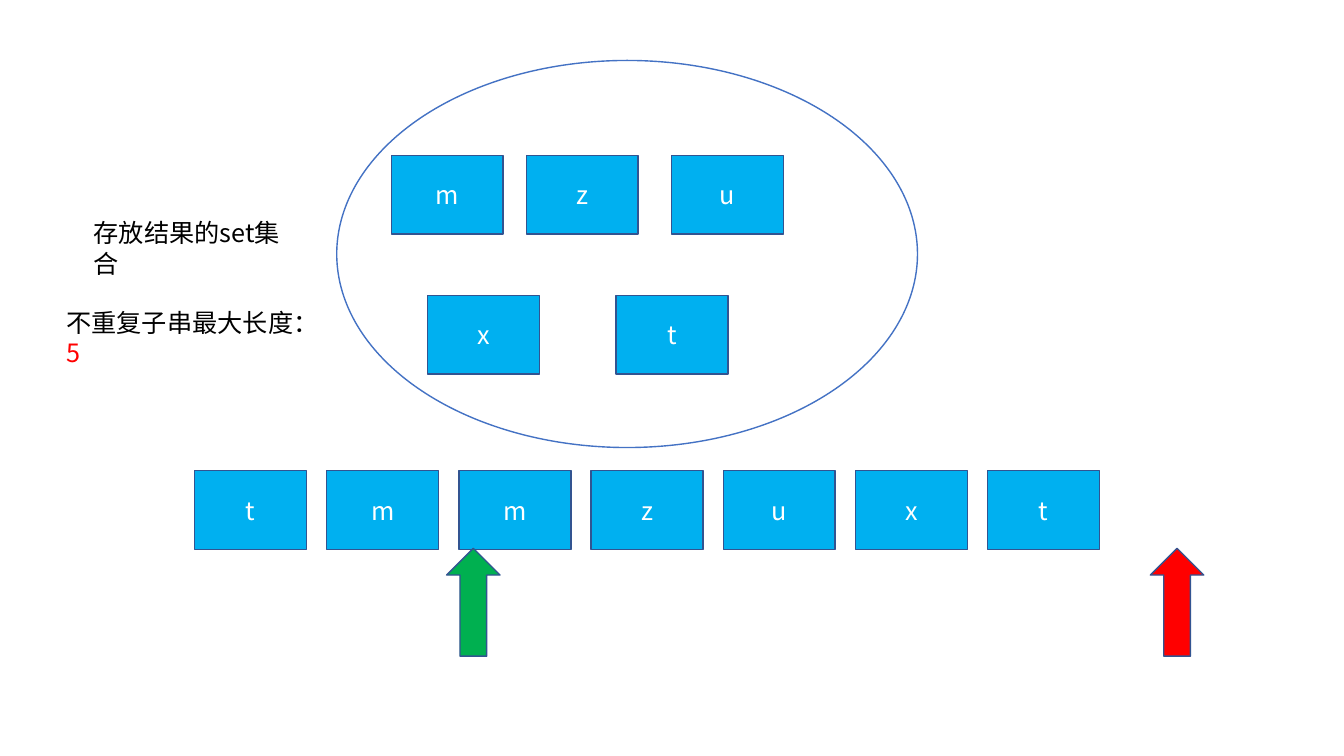
from dataclasses import dataclass

from lxml import etree
from pptx import Presentation
from pptx import util as u
from pptx.dml.color import RGBColor
from pptx.enum import shapes, text
from pptx.oxml import ns


@dataclass(frozen=True)
class Theme:
    font: str = "Noto Sans CJK SC"
    size: int = 18
    ink: str = "000000"
    paper: str = "FFFFFF"
    tile: str = "00B0F0"
    edge: str = "325491"
    ring: str = "4472C4"
    start: str = "00B050"
    accent: str = "FF0000"


class Board:
    cell = u.Inches(0.1)
    tile_size = (11.1, 7.8)
    pointer_size = (5.3, 10.7)

    def __init__(self, page, theme):
        self.page = page
        self.theme = theme

    def place(self, *columns_and_rows):
        return [round(value * self.cell) for value in columns_and_rows]

    def shape(self, kind, area, fill, line):
        shape = self.page.shapes.add_shape(kind, *self.place(*area))
        shape.shadow.inherit = False
        shape.fill.solid()
        shape.fill.fore_color.rgb = RGBColor.from_string(fill)
        shape.line.color.rgb = RGBColor.from_string(line)
        shape.line.width = u.Pt(1)
        return shape

    def set_words(self, para, words, color):
        para.font.name = self.theme.font
        para.font.size = u.Pt(self.theme.size)
        para.font.color.rgb = RGBColor.from_string(color)
        defaults = para._p.pPr.find(ns.qn("a:defRPr"))
        etree.SubElement(defaults, ns.qn("a:ea"), typeface=self.theme.font)
        para.add_run().text = words

    def tile(self, letter, column, row):
        tile = self.shape(shapes.MSO_SHAPE.RECTANGLE, (column, row, *self.tile_size),
                          self.theme.tile, self.theme.edge)
        tile.text_frame.vertical_anchor = text.MSO_ANCHOR.MIDDLE
        para = tile.text_frame.paragraphs[0]
        para.alignment = text.PP_ALIGN.CENTER
        self.set_words(para, letter, self.theme.paper)

    def ring(self, *area):
        self.shape(shapes.MSO_SHAPE.OVAL, area, self.theme.paper, self.theme.ring)

    def pointer(self, column, row, fill):
        self.shape(shapes.MSO_SHAPE.UP_ARROW, (column, row, *self.pointer_size),
                   fill, self.theme.edge)

    def label(self, words, column, row, width, result=""):
        box = self.page.shapes.add_textbox(*self.place(column, row, width, 4))
        box.text_frame.word_wrap = True
        para = box.text_frame.paragraphs[0]
        self.set_words(para, words, self.theme.ink)
        if result:
            span = para.add_run()
            span.text = result
            span.font.color.rgb = RGBColor.from_string(self.theme.accent)


deck = Presentation()
deck.slide_width, deck.slide_height = u.Inches(13.33), u.Inches(7.5)
theme = Theme()
board = Board(deck.slides.add_slide(deck.slide_layouts[6]), theme)

string_left, string_top, string_step = 19.3, 46.7, 13.11
for index, letter in enumerate("tmmzuxt"):
    board.tile(letter, string_left + index * string_step, string_top)

board.ring(33.4, 6, 57.6, 38.4)
set_rows = {15.4: {"m": 38.8, "z": 52.2, "u": 66.6}, 29.3: {"x": 42.4, "t": 61.1}}
for row, members in set_rows.items():
    for letter, column in members.items():
        board.tile(letter, column, row)

board.label("存放结果的set集合", 8.3, 21.1, 22.8)
board.label("不重复子串最大长度：", 5.6, 30, 27.5, result="5")

for column, fill in ((44.3, theme.start), (114.1, theme.accent)):
    board.pointer(column, 54.4, fill)

deck.save("out.pptx")
